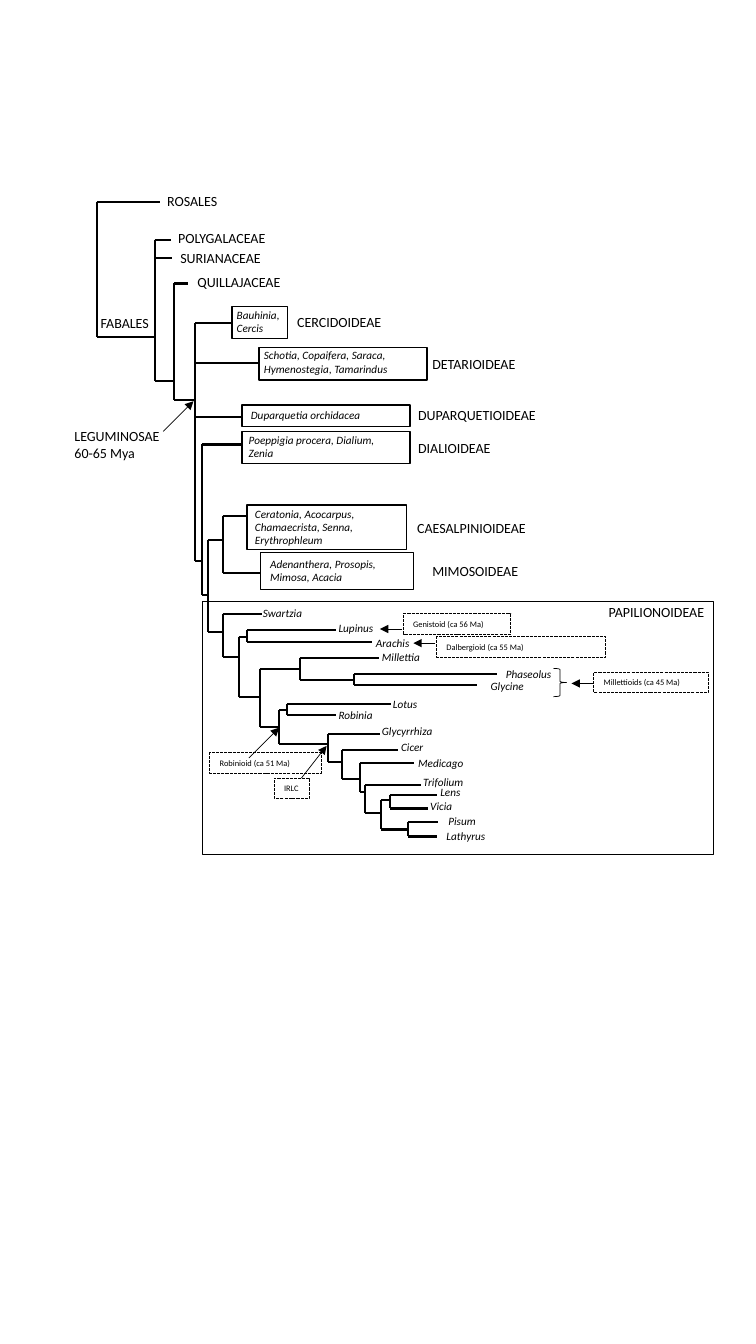
"""Draw the dated family tree of the legumes on a tall slide."""
from typing import NamedTuple

from lxml import etree
from pptx import Presentation
from pptx import util as u
from pptx.dml.color import RGBColor
from pptx.enum import dml, shapes, text
from pptx.oxml.ns import qn

BLACK = RGBColor(0, 0, 0)
FONT = "Calibri"
TAXON_SIZE, GENUS_SIZE, AGE_SIZE = 10, 8, 6
GENUS_WIDTH = 109.5


class Branch(NamedTuple):
    y: float
    tip: float


class Fork(NamedTuple):
    x: float
    branches: tuple[Branch, ...]


class Label(NamedTuple):
    words: str
    left: float
    top: float
    width: float = GENUS_WIDTH
    lines: int = 1


class Frame(NamedTuple):
    left: float
    top: float
    width: float
    height: float


class Arrow(NamedTuple):
    x1: float
    y1: float
    x2: float
    y2: float


FORKS = [
    Fork(69, (Branch(144, 114), Branch(241, 110.5))),
    Fork(110.5, (Branch(171.5, 122.5), Branch(184.5, 123), Branch(272, 124.5))),
    Fork(124.5, (Branch(202.5, 134), Branch(286, 139.5))),
    Fork(139.5, (Branch(230.5, 165.5), Branch(259, 184.5),
                 Branch(298, 173.5), Branch(401, 144.5))),
    Fork(144.5, (Branch(317.5, 173), Branch(425, 149))),
    Fork(148.5, (Branch(386, 159.5), Branch(451.5, 159))),
    Fork(159, (Branch(368.5, 176.5), Branch(409, 186))),
    Fork(159, (Branch(438.5, 187), Branch(469.5, 170.5))),
    Fork(170.5, (Branch(455, 176.5), Branch(498, 185.5))),
    Fork(176.5, (Branch(450, 240), Branch(458.5, 265.5))),
    Fork(185.5, (Branch(478, 214), Branch(519, 199.5))),
    Fork(214, (Branch(470, 270.5), Branch(485.5, 253))),
    Fork(253, (Branch(481.5, 355), Branch(489.5, 341))),
    Fork(199.5, (Branch(507, 205), Branch(531.5, 234.5))),
    Fork(205, (Branch(503, 279.5), Branch(511, 240))),
    Fork(234.5, (Branch(524, 271.5), Branch(544.5, 244.5))),
    Fork(244.5, (Branch(535.5, 284.5), Branch(556.5, 257))),
    Fork(257, (Branch(545, 296), Branch(566, 261))),
    Fork(261, (Branch(561, 301), Branch(581, 272))),
    Fork(272, (Branch(571.5, 278.5), Branch(592.5, 291.5))),
    Fork(278.5, (Branch(568, 312), Branch(577.5, 306))),
    Fork(291.5, (Branch(587, 313), Branch(597.5, 312))),
]

TAXA = [
    Label("ROSALES", 112.3, 134, 80.6),
    Label("POLYGALACEAE", 120.2, 160.6, 80.6),
    Label("SURIANACEAE", 121.7, 175, 80.6),
    Label("QUILLAJACEAE", 133.9, 192.2, 80.6),
    Label("FABALES", 64.8, 221, 70.6),
    Label("CERCIDOIDEAE", 205.2, 220.3, 80.6),
    Label("DETARIOIDEAE", 301.7, 250.6, 80.6),
    Label("DUPARQUETIOIDEAE", 291.6, 286.6, 104.4),
    Label("DIALIOIDEAE", 291.6, 310.3, 104.4),
    Label("LEGUMINOSAE\v60-65 Mya", 46.1, 301.7, 104.4, 2),
    Label("CAESALPINIOIDEAE", 290.9, 367.9, 104.4),
    Label("MIMOSOIDEAE", 301.7, 398.2, 119.5),
    Label("PAPILIONOIDEAE", 427.7, 427.7, 104.4),
]

GENERA = [
    Label("Bauhinia, Cercis", 162, 216.7, 52.6, 2),
    Label("Schotia, Copaifera, Saraca, Hymenostegia, Tamarindus", 181.4, 245.5, lines=2),
    Label("Duparquetia orchidacea", 172.1, 288),
    Label("Poeppigia procera, Dialium, Zenia", 170.6, 306, lines=2),
    Label("Ceratonia, Acocarpus, Chamaecrista, Senna, Erythrophleum", 175, 358.6, lines=3),
    Label("Swartzia", 180.7, 429.8),
    Label("Lupinus", 234.7, 440.6),
    Label("Arachis", 261.4, 450.7),
    Label("Millettia", 265.7, 460.8),
    Label("Phaseolus", 354.2, 473),
    Label("Glycine", 343.4, 481.7),
    Label("Lotus", 273.6, 494.6),
    Label("Robinia", 234.7, 502.6),
    Label("Glycyrrhiza", 265.7, 514.1),
    Label("Cicer", 279.4, 525.6),
    Label("Medicago", 291.6, 536.4),
    Label("Trifolium", 295.2, 550.1),
    Label("Lens", 307.4, 557.3),
    Label("Vicia", 300.2, 567.4),
    Label("Pisum", 313.2, 578.2),
    Label("Lathyrus", 311.8, 589),
]

MIMOSOIDS = Label("Adenanthera, Prosopis, Mimosa, Acacia", 185.8, 394.6, lines=2)

AGES = [
    Label("Genistoid (ca 56 Ma)", 288, 438.5, 77),
    Label("Dalbergioid (ca 55 Ma)", 311.8, 455, 121),
    Label("Millettioids (ca 45 Ma)", 424.1, 480.2, 82.1),
    Label("Robinioid (ca 51 Ma)", 149.8, 537.8, 79.9),
    Label("IRLC", 195.8, 555.8, 25.2),
]

FRAMES = [
    Frame(165.6, 218.9, 39.6, 23),
    Frame(185, 248.4, 120.2, 23),
    Frame(172.8, 289.4, 120.2, 15.1),
    Frame(172.8, 308.2, 120.2, 23),
    Frame(176.4, 360.7, 113.8, 31.7),
    Frame(144.7, 429.8, 365, 180.7),
]

BRACE = Frame(395.3, 477.4, 9.4, 20.2)

ARROWS = [
    Arrow(116.6, 308.2, 138.2, 286.6),
    Arrow(215.3, 555.8, 233.3, 532.8),
    Arrow(177.8, 541.4, 199.4, 519.8),
    Arrow(287.3, 449.3, 271.4, 449.3),
    Arrow(311, 459.4, 295.2, 459.4),
    Arrow(424.1, 488.2, 408.2, 488.2),
]


def draw_line(page, ends: Arrow, weight: float, headed: bool = False) -> None:
    line = page.shapes.add_connector(
        shapes.MSO_CONNECTOR.STRAIGHT, *(u.Pt(value) for value in ends))
    line.line.color.rgb = BLACK
    line.line.width = u.Pt(weight)
    properties = line.element.spPr
    if headed:
        etree.SubElement(properties.find(qn("a:ln")), qn("a:tailEnd"), type="triangle")
    etree.SubElement(properties, qn("a:effectLst"))


def draw_fork(page, fork: Fork) -> None:
    x = fork.x
    draw_line(page, Arrow(x, fork.branches[0].y, x, fork.branches[-1].y), 1.5)
    for branch in fork.branches:
        draw_line(page, Arrow(x, branch.y, branch.tip, branch.y), 1.5)


def draw_outline(page, kind: shapes.MSO_SHAPE, frame: Frame, weight: float):
    box = page.shapes.add_shape(kind, *(u.Pt(value) for value in frame))
    box.shadow.inherit = False
    box.fill.background()
    box.line.color.rgb = BLACK
    box.line.width = u.Pt(weight)
    return box


def draw_label(page, label: Label, size: float, italic: bool = False,
               boxed: bool = False, dashed: bool = False) -> None:
    frame = Frame(label.left, label.top, label.width,
                  round(7.2 + 1.22 * size * label.lines, 1))
    if boxed:
        box = draw_outline(page, shapes.MSO_SHAPE.RECTANGLE, frame, 0.75)
    else:
        box = page.shapes.add_textbox(*(u.Pt(value) for value in frame))
    if dashed:
        box.line.dash_style = dml.MSO_LINE.SQUARE_DOT
    body = box.text_frame
    body.word_wrap = True
    body.auto_size = text.MSO_AUTO_SIZE.SHAPE_TO_FIT_TEXT
    body.vertical_anchor = text.MSO_ANCHOR.TOP
    para = body.paragraphs[0]
    para.text = label.words
    para.alignment = text.PP_ALIGN.LEFT
    para.font.name = FONT
    para.font.size = u.Pt(size)
    para.font.italic = italic
    para.font.color.rgb = BLACK


def main() -> None:
    deck = Presentation()
    deck.slide_width, deck.slide_height = u.Pt(540), u.Pt(960)
    page = deck.slides.add_slide(deck.slide_layouts[6])
    for fork in FORKS:
        draw_fork(page, fork)
    for frame in FRAMES:
        draw_outline(page, shapes.MSO_SHAPE.RECTANGLE, frame, 1)
    draw_outline(page, shapes.MSO_SHAPE.RIGHT_BRACE, BRACE, 0.5)
    for taxon in TAXA:
        draw_label(page, taxon, TAXON_SIZE)
    for genus in GENERA:
        draw_label(page, genus, GENUS_SIZE, italic=True)
    draw_label(page, MIMOSOIDS, GENUS_SIZE, italic=True, boxed=True)
    for age in AGES:
        draw_label(page, age, AGE_SIZE, boxed=True, dashed=True)
    for arrow in ARROWS:
        draw_line(page, arrow, 0.5, headed=True)
    deck.save("out.pptx")


if __name__ == "__main__":
    main()
